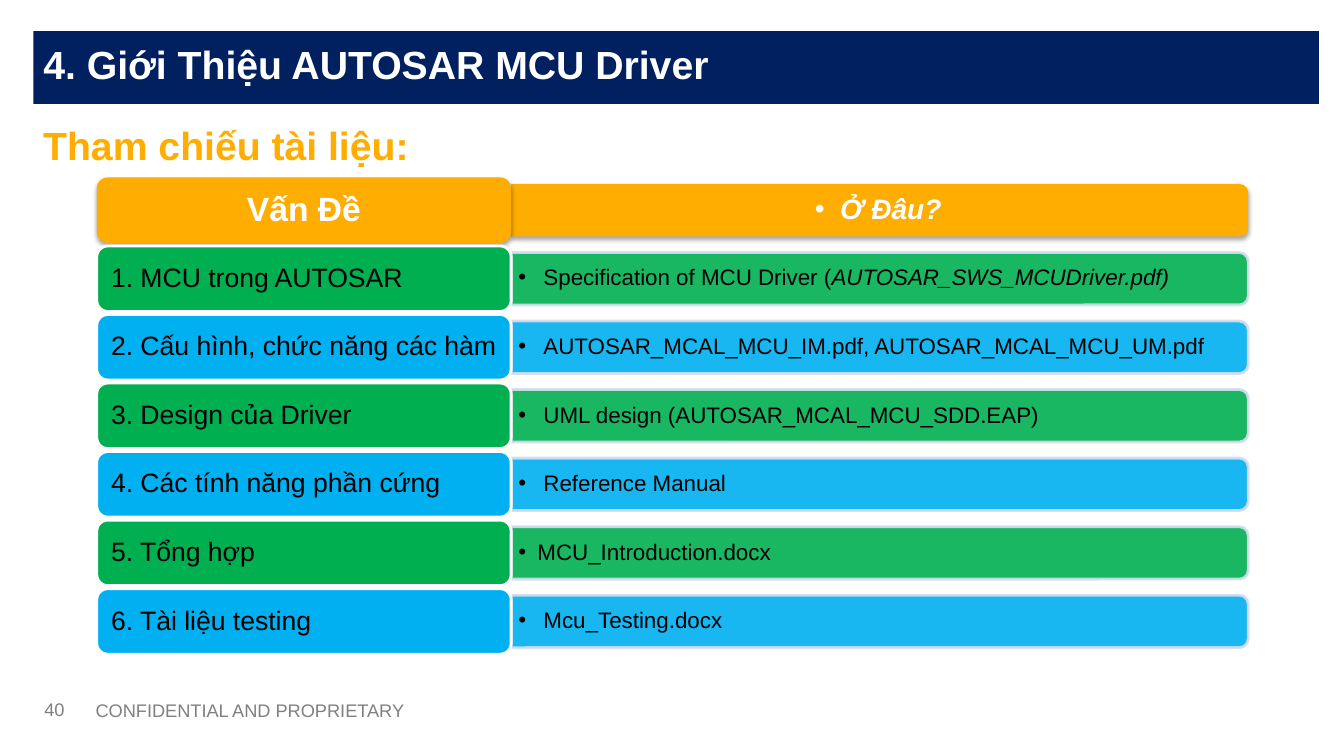
from dataclasses import dataclass

from lxml import etree
from pptx import Presentation
from pptx import util as u
from pptx.dml.color import RGBColor
from pptx.enum import shapes, text
from pptx.oxml import ns


@dataclass(frozen=True)
class Theme:
    font: str = "Arial"
    navy: str = "002060"
    amber: str = "FFAD00"
    green: str = "00B050"
    blue: str = "00B0F0"
    pale: str = "D2DEEF"
    white: str = "FFFFFF"
    black: str = "000000"
    grey: str = "808080"
    title: int = 28
    heading: int = 24
    subheading: int = 20
    label: int = 19
    detail: int = 16
    footer: int = 13


THEME = Theme()
WIDTH, HEIGHT = 13.33, 7.5

# Grid of the list: two columns, one header row and six rows at equal pitch
LABEL_X, LABEL_W = 0.96, 4.11
DETAIL_X, DETAIL_W = LABEL_X + LABEL_W, 7.31
FIRST_ROW, PITCH = 1.76, 0.68
LABEL_H, BAR_H = 0.65, 0.52

# Label, hanging indent, runs of (wording, italic)
ROWS = [
    ("1. MCU trong AUTOSAR", 0.25,
     [("Specification of MCU Driver (", False), ("AUTOSAR_SWS_MCUDriver.pdf)", True)]),
    ("2. Cấu hình, chức năng các hàm", 0.25,
     [("AUTOSAR_MCAL_MCU_IM.pdf, AUTOSAR_MCAL_MCU_UM.pdf", False)]),
    ("3. Design của Driver", 0.25, [("UML design (AUTOSAR_MCAL_MCU_SDD.EAP)", False)]),
    ("4. Các tính năng phần cứng", 0.25, [("Reference Manual", False)]),
    ("5. Tổng hợp", 0.19, [("MCU_Introduction.docx", False)]),
    ("6. Tài liệu testing", 0.25, [("Mcu_Testing.docx", False)]),
]


def inches(*lengths):
    return [u.Inches(length) for length in lengths]


def add_xml(parent, tag, **attributes):
    return etree.SubElement(parent, ns.qn(tag), {k: str(v) for k, v in attributes.items()})


def write(box, runs, size, color, bold=False, center=False, middle=True,
          insets=(0.1, 0.05), spacing=None, indent=None):
    """Fill a shape with one paragraph; runs are (wording, italic) pairs."""
    frame = box.text_frame
    frame.word_wrap = True
    frame.auto_size = text.MSO_AUTO_SIZE.NONE
    frame.vertical_anchor = text.MSO_ANCHOR.MIDDLE if middle else text.MSO_ANCHOR.TOP
    frame.margin_left = frame.margin_right = u.Inches(insets[0])
    frame.margin_top = frame.margin_bottom = u.Inches(insets[1])
    para = frame.paragraphs[0]
    para.alignment = text.PP_ALIGN.CENTER if center else text.PP_ALIGN.LEFT
    if spacing:
        para.line_spacing = spacing
    if indent:
        props = para._p.get_or_add_pPr()
        props.set("marL", str(u.Inches(indent)))
        props.set("indent", str(-u.Inches(indent)))
        add_xml(props, "a:buFont", typeface=THEME.font)
        add_xml(props, "a:buChar", char="•")
    for wording, italic in runs:
        span = para.add_run()
        span.text = wording
        font = span.font
        font.name, font.size = THEME.font, u.Pt(size)
        font.bold, font.italic = bold, italic
        font.color.rgb = RGBColor.from_string(color)


def add_text(page, place, runs, size, color, **style):
    box = page.shapes.add_textbox(*inches(*place))
    write(box, runs, size, color, **style)


def set_opacity(fill, percent):
    add_xml(fill._xPr.find(".//" + ns.qn("a:srgbClr")), "a:alpha", val=percent * 1000)


def add_panel(page, kind, place, color, outline=None, shadow=False):
    panel = page.shapes.add_shape(kind, *inches(*place))
    panel.fill.solid()
    panel.fill.fore_color.rgb = RGBColor.from_string(color)
    if outline:
        panel.line.color.rgb = RGBColor.from_string(outline)
        panel.line.width = u.Pt(2)
    else:
        panel.line.fill.background()
    panel.shadow.inherit = False
    if shadow:
        effects = panel._element.spPr.find(ns.qn("a:effectLst"))
        outer = add_xml(effects, "a:outerShdw", blurRad=u.Pt(3.1), dist=u.Pt(1.8),
                        dir=90 * 60000, rotWithShape=0)
        add_xml(add_xml(outer, "a:srgbClr", val=THEME.black), "a:alpha", val=35000)
    return panel


def add_bar(page, row, color, **look):
    """Bar rounded on its right end: an upright shape turned a quarter."""
    center_x = DETAIL_X + DETAIL_W / 2
    center_y = FIRST_ROW + row * PITCH + LABEL_H / 2
    place = (center_x - BAR_H / 2, center_y - DETAIL_W / 2, BAR_H, DETAIL_W)
    bar = add_panel(page, shapes.MSO_SHAPE.ROUND_2_SAME_RECTANGLE, place, color, **look)
    bar.rotation = 90
    return bar


def add_row(page, row, label, indent, details):
    header = row == 0
    color = THEME.amber if header else (THEME.green if row % 2 else THEME.blue)
    ink = THEME.white if header else THEME.black
    top = FIRST_ROW + row * PITCH

    # Detail bar with its bulleted text
    bar = add_bar(page, row, color, outline=None if header else THEME.pale, shadow=header)
    if not header:
        set_opacity(bar.fill, 90)
        set_opacity(bar.line.fill, 90)
    add_text(page, (DETAIL_X, top + (LABEL_H - 0.47) / 2, 7.28, 0.47), details,
             THEME.subheading if header else THEME.detail, ink, bold=header, center=header,
             insets=(0.12, 0.06) if header else (0.07, 0.03), spacing=0.9, indent=indent)

    # Label on the left
    panel = add_panel(page, shapes.MSO_SHAPE.ROUNDED_RECTANGLE,
                      (LABEL_X, top, LABEL_W, LABEL_H), color,
                      outline=None if header else THEME.white, shadow=header)
    write(panel, [(label, False)], THEME.heading if header else THEME.label, ink,
          bold=header, center=header, insets=(0.11, 0.07), spacing=0.9)


def add_title(page, wording):
    title = page.shapes.title
    title.left, title.top, title.width, title.height = inches(0.33, 0.31, 12.75, 0.72)
    title.fill.solid()
    title.fill.fore_color.rgb = RGBColor.from_string(THEME.navy)
    write(title, [(wording, False)], THEME.title, THEME.white, bold=True,
          middle=False, insets=(0.1, 0.09))


def main():
    deck = Presentation()
    deck.slide_width, deck.slide_height = inches(WIDTH, HEIGHT)
    page = deck.slides.add_slide(deck.slide_layouts.get_by_name("Title Only"))

    # Title and subtitle
    add_title(page, "4. Giới Thiệu AUTOSAR MCU Driver")
    add_text(page, (0.33, 1.12, 12.75, 0.6), [("Tham chiếu tài liệu:", False)],
             THEME.title, THEME.amber, bold=True, middle=False, insets=(0.1, 0.08))

    # List of references
    add_row(page, 0, "Vấn Đề", 0.25, [("Ở Đâu?", True)])
    for row, (label, indent, details) in enumerate(ROWS, start=1):
        add_row(page, row, label, indent, details)

    # Footer
    add_text(page, (0.37, 6.89, 0.65, 0.3), [("40", False)], THEME.footer, THEME.grey,
             insets=(0.07, 0.04))
    add_text(page, (0.85, 6.89, 3.98, 0.34), [("CONFIDENTIAL AND PROPRIETARY", False)],
             THEME.footer, THEME.grey, middle=False)

    deck.save("out.pptx")


if __name__ == "__main__":
    main()
